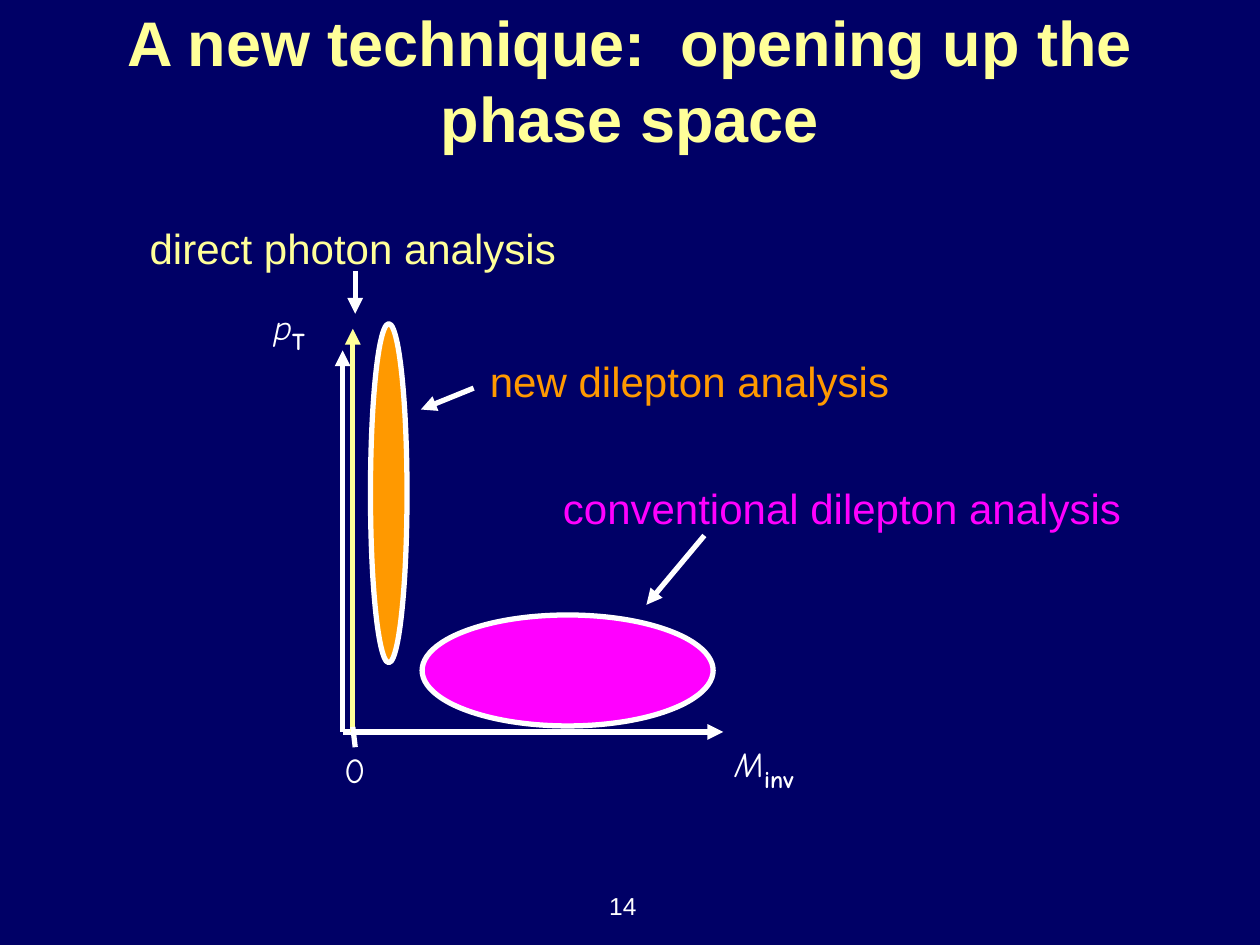
from lxml.etree import SubElement
from pptx import Presentation
from pptx.dml.color import RGBColor
from pptx.enum.shapes import MSO_CONNECTOR, MSO_SHAPE
from pptx.enum.text import MSO_ANCHOR, MSO_AUTO_SIZE, PP_ALIGN
from pptx.oxml.ns import qn
from pptx.util import Pt

COLORS = {
    "navy": "000066",
    "white": "FFFFFF",
    "yellow": "FFFF99",
    "orange": "FF9900",
    "magenta": "FF00FF",
}
LEFT, CENTER, RIGHT = PP_ALIGN.LEFT, PP_ALIGN.CENTER, PP_ALIGN.RIGHT
TOP, MIDDLE = MSO_ANCHOR.TOP, MSO_ANCHOR.MIDDLE
LINE_WIDTH = 3
ORIGIN = (195.8, 418.3)
PHOTON_X = 201.6

ELLIPSES = [
    ((211.7, 185, 20.9, 193.7), "orange"),
    ((241.2, 351.4, 166.3, 63.4), "magenta"),
]

LINES = [
    (ORIGIN, (413.3, ORIGIN[1]), "white", True),
    (ORIGIN, (ORIGIN[0], 200.2), "white", True),
    ((PHOTON_X, ORIGIN[1]), (PHOTON_X, 187.9), "yellow", True),
    ((203, 154.8), (203, 179.3), "white", True),
    ((270.7, 221.8), (240.5, 234), "white", True),
    ((402.5, 306), (369.4, 345.6), "white", True),
    ((203, 427), (201.6, 415.4), "white", False),
]

LABELS = [
    ((54, 20.6, 612, 49.7), "A new technique:  opening up the phase space",
     36, "yellow", CENTER, MIDDLE, True, True),
    ((76.6, 123.8, 250, 36), "direct photon analysis",
     24, "yellow", CENTER, TOP, False, False),
    ((272.9, 199.4, 246, 36), "new dilepton analysis",
     24, "orange", LEFT, TOP, False, False),
    ((314.6, 272.2, 360, 36), "conventional dilepton analysis",
     24, "magenta", LEFT, TOP, False, True),
    ((221, 505.4, 149.8, 36), "14", 14, "white", RIGHT, TOP, False, True),
]

AXIS_LABELS = [
    ((412.6, 416.9, 48.2, 40.3), "M", "inv"),
    ((149, 167, 32.4, 40.3), "p", "T"),
    ((189.4, 424.1, 26.6, 31.7), "0", ""),
]


def rgb(name):
    return RGBColor.from_string(COLORS[name])


def add_box(s, box, align, anchor=TOP, wrap=False):
    tf = s.shapes.add_textbox(*map(Pt, box)).text_frame
    tf.word_wrap = wrap
    if not wrap:
        tf.auto_size = MSO_AUTO_SIZE.SHAPE_TO_FIT_TEXT
    tf.vertical_anchor = anchor
    p = tf.paragraphs[0]
    p.alignment = align
    return p


def add_run(p, text, size, color, font="Arial", bold=False, italic=False):
    r = p.add_run()
    r.text = text
    r.font.name = font
    r.font.size = Pt(size)
    r.font.bold = bold
    r.font.italic = italic
    r.font.color.rgb = rgb(color)
    return r


def add_line(s, start, end, color, arrow):
    sp = s.shapes.add_connector(MSO_CONNECTOR.STRAIGHT, *map(Pt, start + end))
    sp.line.color.rgb = rgb(color)
    sp.line.width = Pt(LINE_WIDTH)
    if arrow:
        SubElement(sp.line._get_or_add_ln(), qn("a:tailEnd"), type="triangle")
    SubElement(sp._element.spPr, qn("a:effectLst"))


def add_ellipse(s, box, color):
    sp = s.shapes.add_shape(MSO_SHAPE.OVAL, *map(Pt, box))
    sp.shadow.inherit = False
    sp.fill.solid()
    sp.fill.fore_color.rgb = rgb(color)
    sp.line.color.rgb = rgb("white")
    sp.line.width = Pt(LINE_WIDTH)


def main():
    prs = Presentation()
    prs.slide_width, prs.slide_height = Pt(720), Pt(540)
    s = prs.slides.add_slide(prs.slide_layouts[6])
    s.background.fill.solid()
    s.background.fill.fore_color.rgb = rgb("navy")

    for line in LINES:
        add_line(s, *line)
    for box, color in ELLIPSES:
        add_ellipse(s, box, color)
    for box, text, size, color, align, anchor, bold, wrap in LABELS:
        p = add_box(s, box, align, anchor, wrap)
        add_run(p, text, size, color, bold=bold)
    for box, symbol, subscript in AXIS_LABELS:
        p = add_box(s, box, CENTER)
        add_run(p, symbol, 20, "white", "Comic Neue", italic=bool(subscript))
        if subscript:
            r = add_run(p, subscript, 24, "white", "Comic Neue", bold=True)
            r.font._element.set("baseline", "-25000")

    prs.save("out.pptx")


if __name__ == "__main__":
    main()
